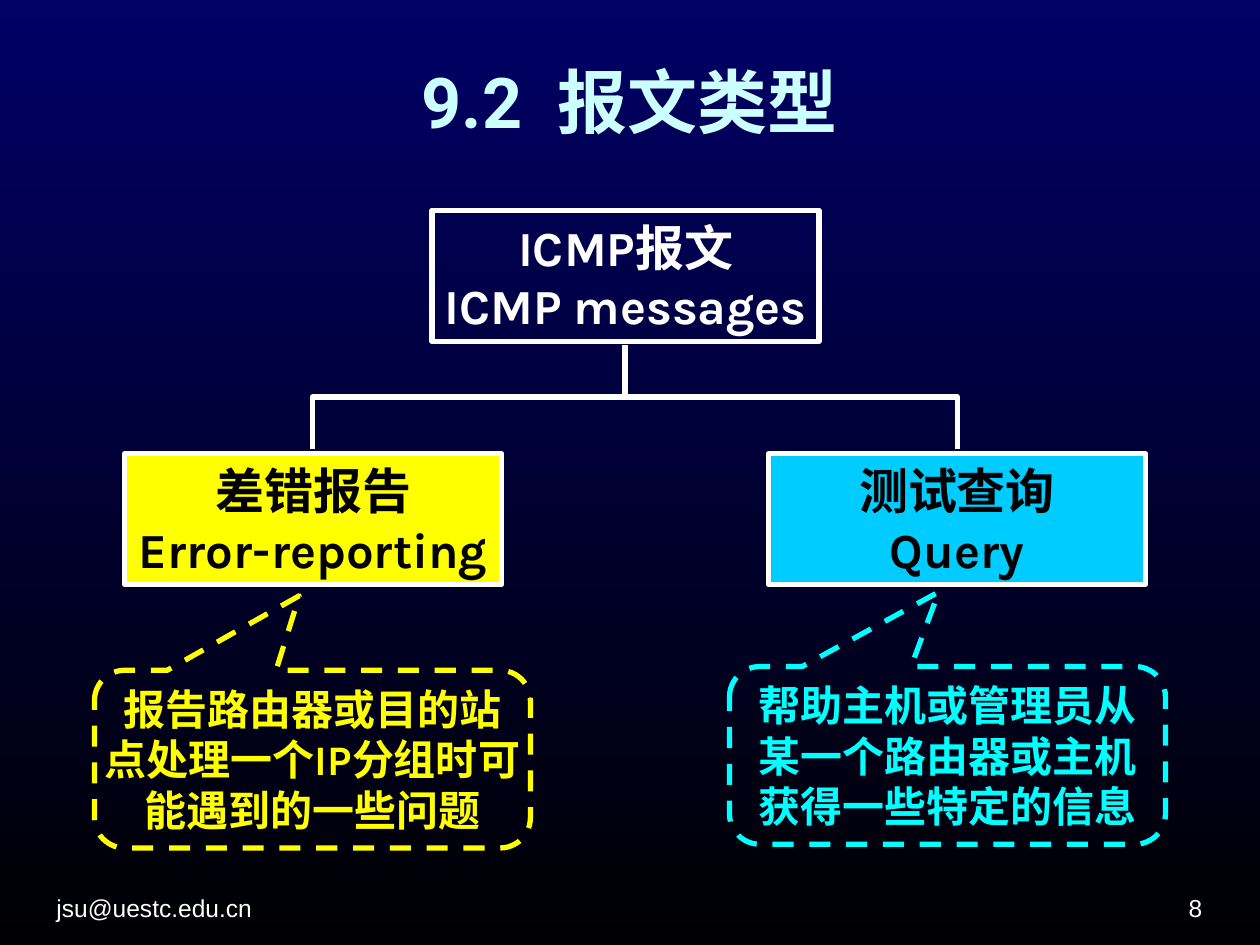
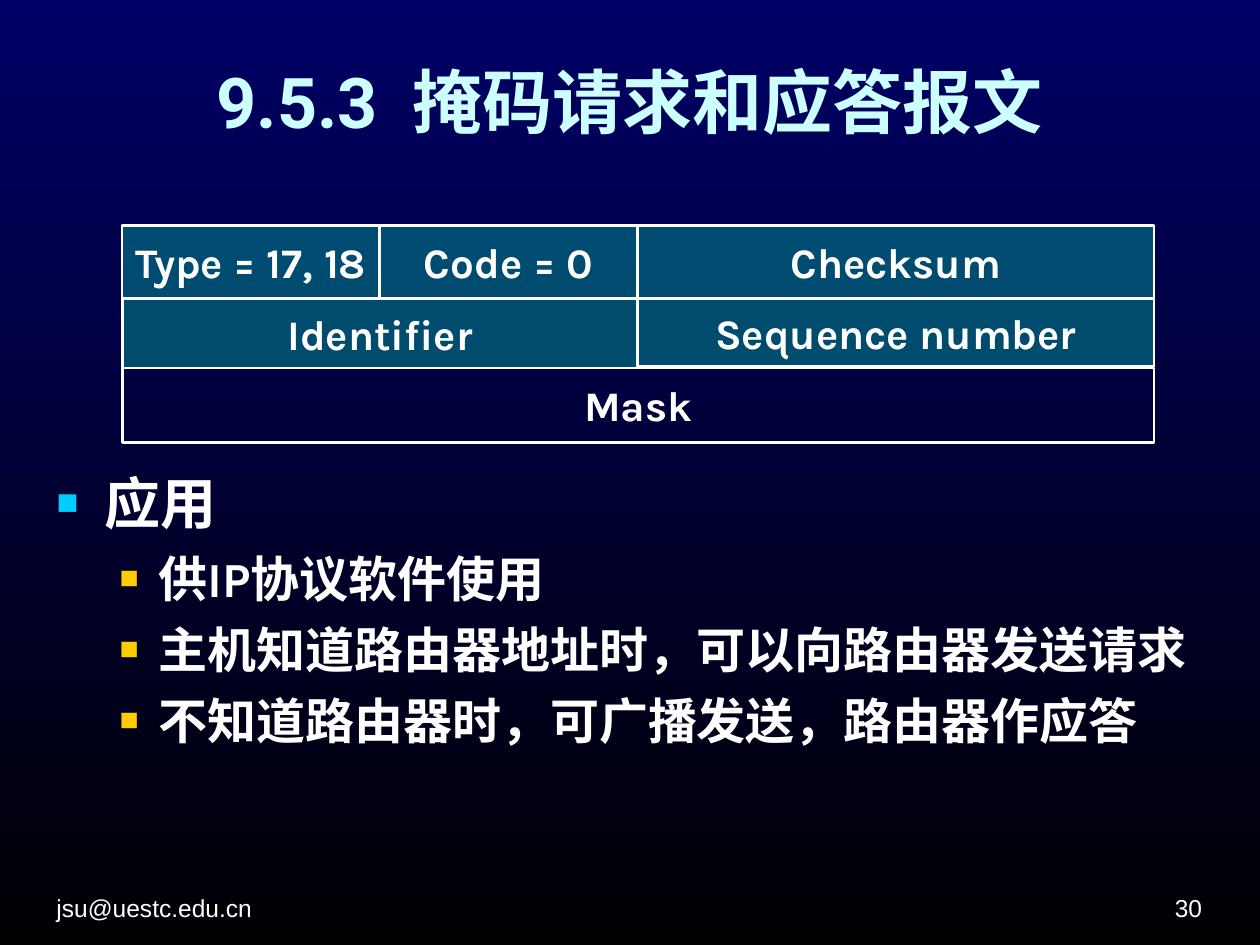
import lxml.etree
import pptx
import pptx.dml.color
import pptx.enum.dml
import pptx.enum.shapes
import pptx.enum.text
import pptx.oxml.ns
import pptx.util

HEX = {
    "top": "000066", "base": "000003", "title": "CCFFFF", "white": "FFFFFF",
    "black": "000000", "yellow": "FFFF00", "sky": "00CCFF", "cyan": "00FFFF",
    "gold": "FFCC00", "teal": "009999",
}
ALIGN = pptx.enum.text.PP_ALIGN
ANCHOR = pptx.enum.text.MSO_ANCHOR
FIT = pptx.enum.text.MSO_AUTO_SIZE
SHAPE = pptx.enum.shapes.MSO_SHAPE
ELBOW = pptx.enum.shapes.MSO_CONNECTOR.ELBOW
DASH = pptx.enum.dml.MSO_LINE.DASH


def px(num):
    """100 px to the inch."""
    return pptx.util.Emu(round(num * 9144))


def rgb(name):
    return pptx.dml.color.RGBColor.from_string(HEX[name])


def child(node, tag, **attrs):
    return lxml.etree.SubElement(node, pptx.oxml.ns.qn(tag), attrs)


class Deck:
    face, head, small = "Karla", "Roboto", "Arial"

    def __init__(self):
        self.prs = pptx.Presentation()
        self.prs.slide_width, self.prs.slide_height = px(1000), px(750)
        self.slide = None
        # Shared gradient, dark at the foot
        fill = self.prs.slide_master.background.fill
        fill.gradient()
        fill.gradient_angle = 270
        for stop, pos, name in zip(fill.gradient_stops, (0, 1), ("top", "base")):
            stop.position = pos
            stop.color.rgb = rgb(name)

    def page(self, title, num, layout):
        """New slide with its title and footers."""
        self.slide = self.prs.slides.add_slide(self.prs.slide_layouts[layout])
        self.put(self.slide.shapes.title, (35, 13, 929, 134))
        self.label(self.slide.shapes.title, [title], 40, "title", face=self.head)
        for left, text, align in ((35, "jsu@uestc.edu.cn", ALIGN.LEFT),
                                  (731, num, ALIGN.RIGHT)):
            box = self.slide.shapes.add_textbox(*map(px, (left, 690, 233, 47)))
            self.label(box, [text], 14, "white", face=self.small, bold=False,
                       align=align, anchor=ANCHOR.BOTTOM)

    def put(self, shape, rect):
        shape.left, shape.top, shape.width, shape.height = map(px, rect)

    def add(self, para, text, size, color, face, bold=True):
        run = para.add_run()
        run.text = text
        font = run.font
        font.size, font.name, font.bold = pptx.util.Pt(size), face, bold
        font.color.rgb = rgb(color)

    def label(self, shape, lines, size, color, face=face, bold=True,
              align=ALIGN.CENTER, anchor=ANCHOR.MIDDLE, side=10, wrap=True,
              fit=FIT.NONE):
        frame = shape.text_frame
        frame.word_wrap, frame.auto_size = wrap, fit
        frame.vertical_anchor = anchor
        frame.margin_left = frame.margin_right = px(side)
        frame.margin_top = frame.margin_bottom = px(5)
        for i, text in enumerate(lines):
            para = frame.add_paragraph() if i else frame.paragraphs[0]
            para.alignment = align
            self.add(para, text, size, color, face, bold)

    def shape(self, kind, rect, fill=None, line="white", width=3, clear=None):
        shape = self.slide.shapes.add_shape(kind, *map(px, rect))
        shape.shadow.inherit = False
        shape.line.color.rgb = rgb(line)
        shape.line.width = pptx.util.Pt(width)
        if fill is None:
            shape.fill.background()
        else:
            shape.fill.solid()
            shape.fill.fore_color.rgb = rgb(fill)
        if clear:
            tone = shape._element.spPr.find(".//" + pptx.oxml.ns.qn("a:srgbClr"))
            child(tone, "a:alpha", val=str(clear * 1000))
        return shape

    def node(self, rect, lines, color, fill=None):
        box = self.shape(SHAPE.RECTANGLE, rect, fill)
        self.label(box, lines, 28, color, side=0, fit=FIT.SHAPE_TO_FIT_TEXT)

    def note(self, rect, text, color, tip):
        box = self.shape(SHAPE.ROUNDED_RECTANGULAR_CALLOUT, rect, line=color)
        box.line.dash_style = DASH
        for i, val in enumerate(tip):
            box.adjustments[i] = val
        self.label(box, [text], 24, color, side=0, fit=FIT.SHAPE_TO_FIT_TEXT)

    def cell(self, rect, text, fill):
        box = self.shape(SHAPE.RECTANGLE, rect, fill, width=1.5,
                         clear=50 if fill else None)
        self.label(box, [text], 24, "white", wrap=False)

    def branch(self, x1, y1, x2, y2):
        """Elbow that leaves and arrives upright: a turned level elbow."""
        midx, midy = (x1 + x2) / 2, (y1 + y2) / 2
        drop, reach = (y2 - y1) / 2, abs(x2 - x1) / 2
        side = 1 if x2 < x1 else -1
        link = self.slide.shapes.add_connector(
            ELBOW, px(midx - side * drop), px(midy - reach),
            px(midx + side * drop), px(midy + reach))
        link.line.color.rgb = rgb("white")
        link.line.width = pptx.util.Pt(3)
        props = link._element.spPr
        props.find(pptx.oxml.ns.qn("a:xfrm")).set(
            "rot", str((90 if side > 0 else 270) * 60000))
        child(props, "a:effectLst")

    def items(self, rect, rows):
        """Bulleted list from (level, text) rows."""
        looks = ((38, 38, 12, 32, "sky"), (81, 31, 7, 28, "gold"))
        body = self.slide.placeholders[1]
        self.put(body, rect)
        frame = body.text_frame
        frame.word_wrap, frame.auto_size = True, FIT.NONE
        for i, (level, text) in enumerate(rows):
            left, hang, gap, size, mark = looks[level]
            para = frame.add_paragraph() if i else frame.paragraphs[0]
            para.level = level
            props = para._p.get_or_add_pPr()
            props.set("marL", str(px(left)))
            props.set("indent", str(-px(hang)))
            child(child(props, "a:buClr"), "a:srgbClr", val=HEX[mark])
            child(props, "a:buSzPct", val="65000")
            child(props, "a:buFont", typeface=self.small)
            child(props, "a:buChar", char="■")
            para.space_before = pptx.util.Pt(gap if i else 0)
            self.add(para, text, size, "white", self.face)


def types(deck):
    deck.page("9.2  报文类型", "8", 5)
    # Tree of message kinds
    deck.node((343, 167, 307, 104), ["ICMP报文", "ICMP messages"], "white")
    deck.node((99, 360, 299, 104), ["差错报告", "Error-reporting"], "black", "yellow")
    deck.node((610, 360, 299, 104), ["测试查询", "Query"], "black", "sky")
    for goal in (248, 760):
        deck.branch(496, 274, goal, 356)
    # Notes on each kind
    deck.note((75, 532, 346, 141), "报告路由器或目的站点处理一个IP分组时可能遇到的一些问题",
              "yellow", (-0.03, -0.92, 0.17))
    deck.note((579, 529, 346, 141), "帮助主机或管理员从某一个路由器或主机获得一些特定的信息",
              "cyan", (-0.02, -0.92, 0.17))


def mask(deck):
    deck.page("9.5.3  掩码请求和应答报文", "30", 1)
    # Use of the message
    deck.items((35, 367, 929, 339), [
        (0, "应用"),
        (1, "供IP协议软件使用"),
        (1, "主机知道路由器地址时，可以向路由器发送请求"),
        (1, "不知道路由器时，可广播发送，路由器作应答"),
    ])
    # Packet layout: each field spans some of four bytes
    left, wide = 97, 819
    rows = (
        (179, "teal", (("Type = 17, 18", 1, 58), ("Code = 0", 1, 58),
                       ("Checksum", 2, 58))),
        (237, "teal", (("Identifier", 2, 55), ("Sequence number", 2, 54))),
        (292, None, (("Mask", 4, 59),)),
    )
    for top, fill, fields in rows:
        byte = 0
        for text, span, high in fields:
            start, end = wide * byte // 4, wide * (byte + span) // 4
            deck.cell((left + start, top, end - start, high), text, fill)
            byte += span


def main():
    deck = Deck()
    types(deck)
    mask(deck)
    deck.prs.save("out.pptx")


if __name__ == "__main__":
    main()
